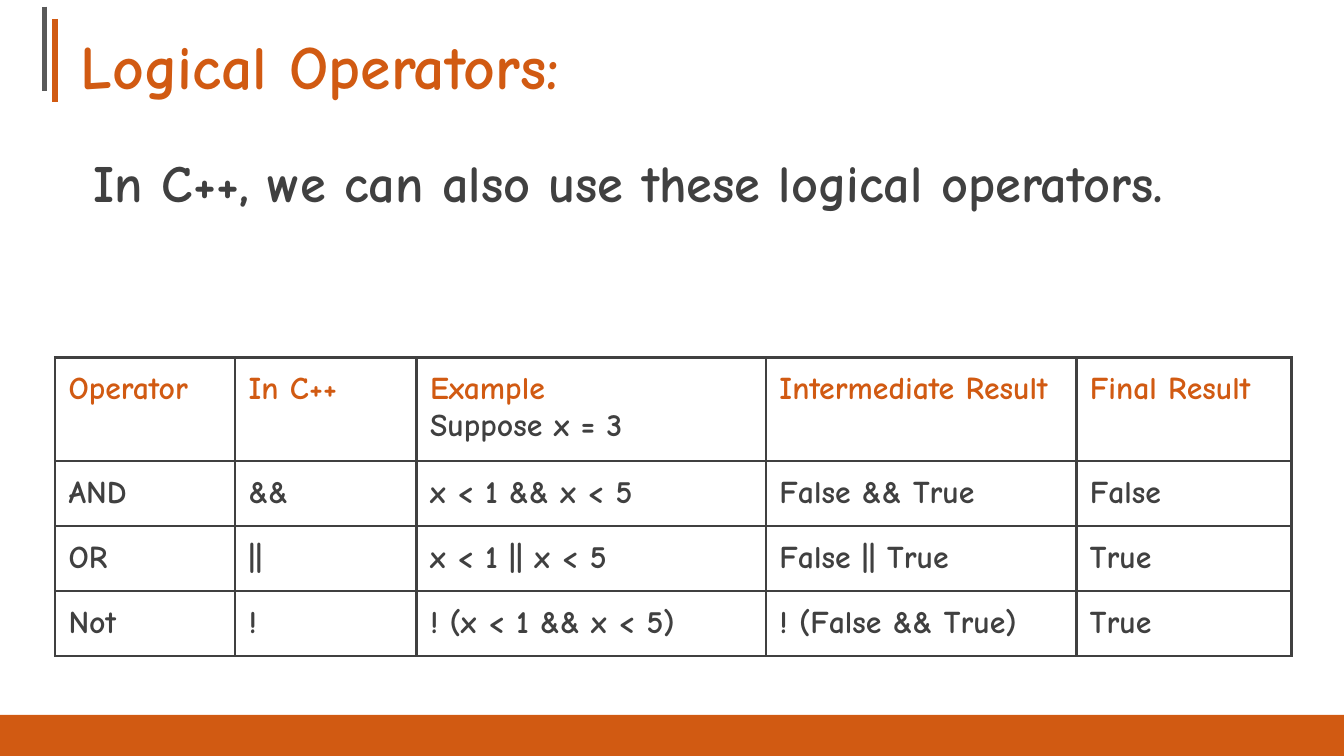
from dataclasses import dataclass

from lxml import etree
from pptx import Presentation
from pptx.dml.color import RGBColor
from pptx.enum import shapes, text
from pptx.oxml import ns
from pptx.util import Inches, Pt


@dataclass(frozen=True)
class Theme:
    """Colours, typeface and type sizes of the slide."""
    accent: str = "D15A12"
    ink: str = "404040"
    grey: str = "595959"
    font: str = "Comic Neue"
    title: int = 33
    body: int = 28
    cell: int = 17
    rule: int = 3
    border: float = 1.5
    inset: float = 0.1


THEME = Theme()
SLIDE_WIDTH = 10
SLIDE_HEIGHT = SLIDE_WIDTH * 9 / 16
COLUMN_WIDTHS = (1.34, 1.35, 2.6, 2.31, 1.6)
ROW_HEIGHTS = (0.77, 0.48, 0.48, 0.48)
EXAMPLE_COLUMN = 2
HEADINGS = ("Operator", "In C++", "Example", "Intermediate Result", "Final Result")
OPERATORS = (
    ("AND", "&&", "x < 1 && x < 5", "False && True", "False"),
    ("OR", "||", "x < 1 || x < 5", "False || True", "True"),
    ("Not", "!", "! (x < 1 && x < 5)", "! (False && True)", "True"),
)


def write(paragraph, words, *, size, color=THEME.ink):
    """Add formatted words to a paragraph."""
    run = paragraph.add_run()
    run.text = words
    run.font.name = THEME.font
    run.font.size = Pt(size)
    run.font.bold = True
    run.font.color.rgb = RGBColor.from_string(color)


def set_insets(holder, left=THEME.inset):
    """Set the inner margins of a text frame or table cell."""
    holder.margin_left = Inches(left)
    holder.margin_right = holder.margin_top = holder.margin_bottom = Inches(THEME.inset)


def add_text(slide, words, box, *, anchor=text.MSO_ANCHOR.TOP, left=THEME.inset, **style):
    """Add a wrapped text box holding one paragraph."""
    frame = slide.shapes.add_textbox(*map(Inches, box)).text_frame
    frame.word_wrap = True
    frame.vertical_anchor = anchor
    set_insets(frame, left)
    write(frame.paragraphs[0], words, **style)


def add_rule(slide, x, top, bottom, color):
    """Add a vertical accent line."""
    rule = slide.shapes.add_connector(
        shapes.MSO_CONNECTOR.STRAIGHT, Inches(x), Inches(top), Inches(x), Inches(bottom))
    rule.line.color.rgb = RGBColor.from_string(color)
    rule.line.width = Pt(THEME.rule)
    etree.SubElement(rule._element.spPr, ns.qn("a:effectLst"))


def add_band(slide, box, color):
    """Add a plain filled band."""
    band = slide.shapes.add_shape(shapes.MSO_SHAPE.RECTANGLE, *map(Inches, box))
    band.shadow.inherit = False
    band.fill.solid()
    band.fill.fore_color.rgb = RGBColor.from_string(color)
    band.line.fill.background()


def style_cell(cell):
    """Clear a cell's fill, set its margins and draw its four borders."""
    set_insets(cell)
    cell.fill.background()
    properties = cell._tc.get_or_add_tcPr()
    for position, side in enumerate(("lnL", "lnR", "lnT", "lnB")):
        border = etree.Element(ns.qn(f"a:{side}"), w=str(Pt(THEME.border)))
        fill = etree.SubElement(border, ns.qn("a:solidFill"))
        etree.SubElement(fill, ns.qn("a:srgbClr"), val=THEME.ink)
        properties.insert(position, border)


def add_operator_table(slide, left, top):
    """Add the bordered table of logical operators."""
    rows = (HEADINGS, *OPERATORS)
    table = slide.shapes.add_table(
        len(rows), len(HEADINGS), Inches(left), Inches(top),
        Inches(sum(COLUMN_WIDTHS)), Inches(sum(ROW_HEIGHTS))).table
    table.first_row = table.horz_banding = False
    for column, width in zip(table.columns, COLUMN_WIDTHS):
        column.width = Inches(width)
    for row, height in zip(table.rows, ROW_HEIGHTS):
        row.height = Inches(height)
    for r, entries in enumerate(rows):
        color = THEME.ink if r else THEME.accent
        for c, entry in enumerate(entries):
            cell = table.cell(r, c)
            style_cell(cell)
            write(cell.text_frame.paragraphs[0], entry, size=THEME.cell, color=color)
    supposition = table.cell(0, EXAMPLE_COLUMN).text_frame.add_paragraph()
    write(supposition, "Suppose x = 3", size=THEME.cell)


def main():
    """Build and save the slide."""
    deck = Presentation()
    deck.slide_width, deck.slide_height = Inches(SLIDE_WIDTH), Inches(SLIDE_HEIGHT)
    slide = deck.slides.add_slide(deck.slide_layouts[6])
    add_text(slide, "Logical Operators:", (0, 0, SLIDE_WIDTH, 0.86), left=0.6,
             anchor=text.MSO_ANCHOR.BOTTOM, size=THEME.title, color=THEME.accent)
    add_rule(slide, 0.41, 0.14, 0.76, THEME.accent)
    add_rule(slide, 0.33, 0.05, 0.68, THEME.grey)
    add_band(slide, (0, 5.32, SLIDE_WIDTH, SLIDE_HEIGHT - 5.32), THEME.accent)
    add_text(slide, "In C++, we can also use these logical operators.",
             (0.6, 1.02, 9.4, 1.2), size=THEME.body)
    add_operator_table(slide, 0.41, 2.66)
    deck.save("out.pptx")


if __name__ == "__main__":
    main()
